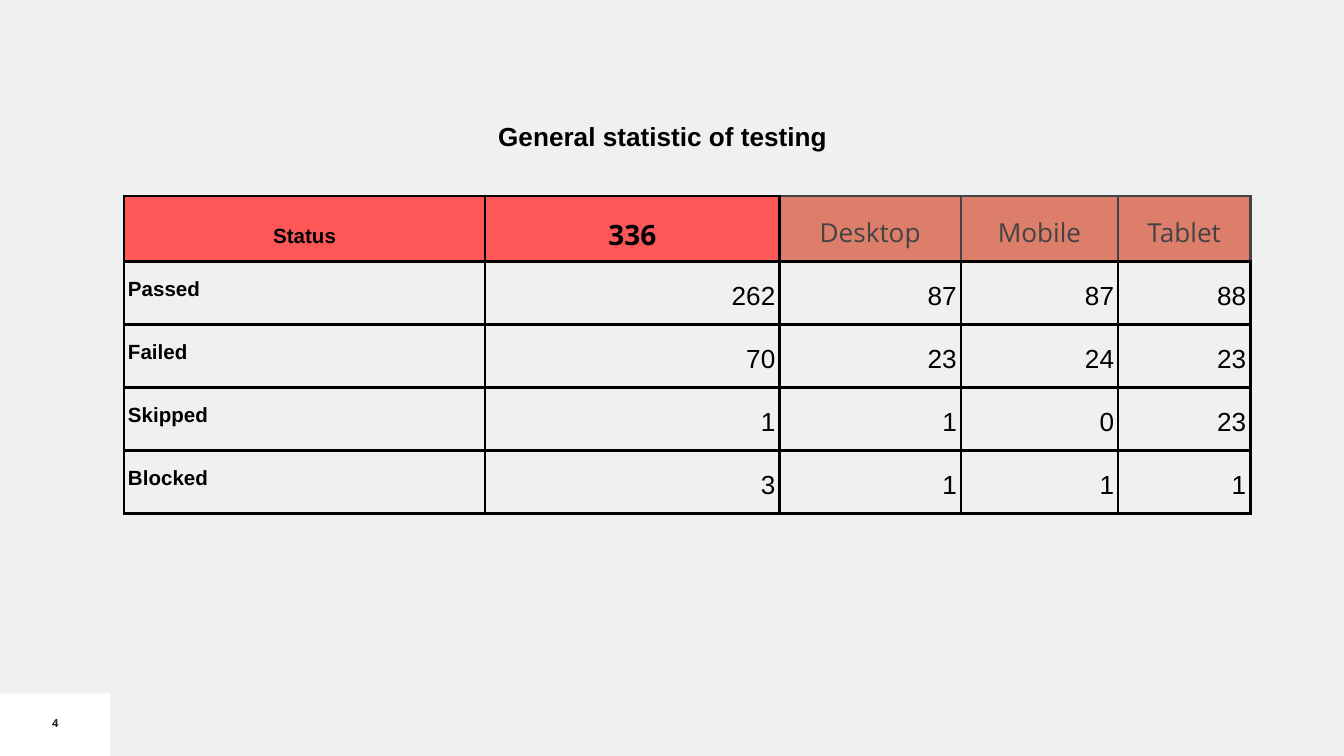
"""Build the slide with the general testing statistics table."""
import dataclasses
import typing

import lxml.etree
import pptx
import pptx.dml.color
import pptx.enum.shapes
import pptx.enum.text
import pptx.oxml.ns
import pptx.util

Pt = pptx.util.Pt
Align = pptx.enum.text.PP_ALIGN
Anchor = pptx.enum.text.MSO_ANCHOR

BLACK, GREY = "000000", "434343"
COLUMNS = (193.6, 157.6, 97.2, 84.3, 70.8)
HEADER_HEIGHT, ROW_HEIGHT = 34.8, 33.7


@dataclasses.dataclass(frozen=True)
class TextStyle:
    size: float
    font: str = "Arial"
    color: str = BLACK
    bold: bool = False
    align: Align = Align.CENTER
    anchor: Anchor = Anchor.BOTTOM
    spacing: float = 1.0


@dataclasses.dataclass(frozen=True)
class Border:
    color: str = BLACK
    width: float = 1.5


@dataclasses.dataclass(frozen=True)
class CellStyle:
    text: TextStyle
    fill: typing.Optional[str] = None
    left: Border = Border()
    right: Border = Border()
    top: Border = Border()
    bottom: Border = Border()


TITLE = TextStyle(14, bold=True)
PAGE_NUMBER = TextStyle(6, "Open Sans", "222222", True, anchor=Anchor.MIDDLE)

STATUS_HEAD = CellStyle(TextStyle(11, bold=True, spacing=1.15), "FE5757", left=Border(width=0.75))
TOTAL_HEAD = CellStyle(TextStyle(15, "Open Sans", bold=True, spacing=1.15), "FE5757")
DEVICE_TEXT = TextStyle(14, "Open Sans", GREY, anchor=Anchor.MIDDLE, spacing=1.15)
FIRST_DEVICE = CellStyle(DEVICE_TEXT, "DD7E6B", right=Border(GREY), top=Border(GREY))
DEVICE = dataclasses.replace(FIRST_DEVICE, left=Border(GREY))
LABEL = CellStyle(TextStyle(11, bold=True, align=Align.LEFT, anchor=Anchor.TOP, spacing=1.15))
COUNT = CellStyle(TextStyle(14, align=Align.RIGHT, spacing=1.15))

HEAD_STYLES = (STATUS_HEAD, TOTAL_HEAD, FIRST_DEVICE, DEVICE, DEVICE)
BODY_STYLES = (LABEL,) + (COUNT,) * 4
ROWS = (
    ("Status", "336", "Desktop", "Mobile", "Tablet"),
    ("Passed", "262", "87", "87", "88"),
    ("Failed", "70", "23", "24", "23"),
    ("Skipped", "1", "1", "0", "23"),
    ("Blocked", "3", "1", "1", "1"),
)


def hex_color(value: str) -> pptx.dml.color.RGBColor:
    return pptx.dml.color.RGBColor.from_string(value)


def write_text(frame, text: str, style: TextStyle) -> None:
    para = frame.paragraphs[0]
    para.text = text
    para.alignment = style.align
    para.line_spacing = style.spacing
    para.font.size = Pt(style.size)
    para.font.name = style.font
    para.font.bold = style.bold
    para.font.color.rgb = hex_color(style.color)


def set_margins(target, horizontal: float, vertical: float) -> None:
    target.margin_left = target.margin_right = Pt(horizontal)
    target.margin_top = target.margin_bottom = Pt(vertical)


def add_text(page, frame_at: tuple, text: str, style: TextStyle, margins: tuple) -> None:
    box = page.shapes.add_textbox(*map(Pt, frame_at))
    box.text_frame.word_wrap = True
    box.text_frame.vertical_anchor = style.anchor
    set_margins(box.text_frame, *margins)
    write_text(box.text_frame, text, style)


def add_border(cell, tag: str, border: Border) -> None:
    qn = pptx.oxml.ns.qn
    properties = cell._tc.get_or_add_tcPr()
    line = lxml.etree.SubElement(properties, qn(tag), w=str(Pt(border.width)))
    solid = lxml.etree.SubElement(line, qn("a:solidFill"))
    lxml.etree.SubElement(solid, qn("a:srgbClr"), val=border.color)


def fill_cell(cell, text: str, style: CellStyle) -> None:
    set_margins(cell, 2.2, 7.2)
    cell.vertical_anchor = style.text.anchor
    write_text(cell.text_frame, text, style.text)
    add_border(cell, "a:lnL", style.left)
    add_border(cell, "a:lnR", style.right)
    add_border(cell, "a:lnT", style.top)
    add_border(cell, "a:lnB", style.bottom)
    if style.fill:
        cell.fill.solid()
        cell.fill.fore_color.rgb = hex_color(style.fill)
    else:
        cell.fill.background()


def add_statistics(page, left: float, top: float) -> None:
    heights = (HEADER_HEIGHT,) + (ROW_HEIGHT,) * (len(ROWS) - 1)
    table = page.shapes.add_table(
        len(ROWS), len(COLUMNS), Pt(left), Pt(top), Pt(sum(COLUMNS)), Pt(sum(heights))
    ).table
    table.first_row = table.horz_banding = False
    for column, width in zip(table.columns, COLUMNS):
        column.width = Pt(width)
    for index, (row, height, values) in enumerate(zip(table.rows, heights, ROWS)):
        row.height = Pt(height)
        styles = BODY_STYLES if index else HEAD_STYLES
        for cell, value, style in zip(row.cells, values, styles):
            fill_cell(cell, value, style)


def add_page_number(page, number: str) -> None:
    corner = page.shapes.add_shape(
        pptx.enum.shapes.MSO_SHAPE.RECTANGLE, Pt(0), Pt(371.5), Pt(59.2), Pt(33.5)
    )
    corner.shadow.inherit = False
    corner.fill.solid()
    corner.fill.fore_color.rgb = hex_color("FEFFFF")
    corner.line.fill.background()
    add_text(page, (0, 376.6, 59.2, 21.6), number, PAGE_NUMBER, (5, 3))


def main() -> None:
    deck = pptx.Presentation()
    deck.slide_width, deck.slide_height = Pt(720), Pt(405)
    page = deck.slides.add_slide(deck.slide_layouts[6])
    page.background.fill.solid()
    page.background.fill.fore_color.rgb = hex_color("F0F0F0")
    add_page_number(page, "4")
    add_text(page, (53.3, 6.5, 603.4, 82), "General statistic of testing", TITLE, (7.2, 7.2))
    add_statistics(page, 66.4, 105)
    deck.save("out.pptx")


if __name__ == "__main__":
    main()
